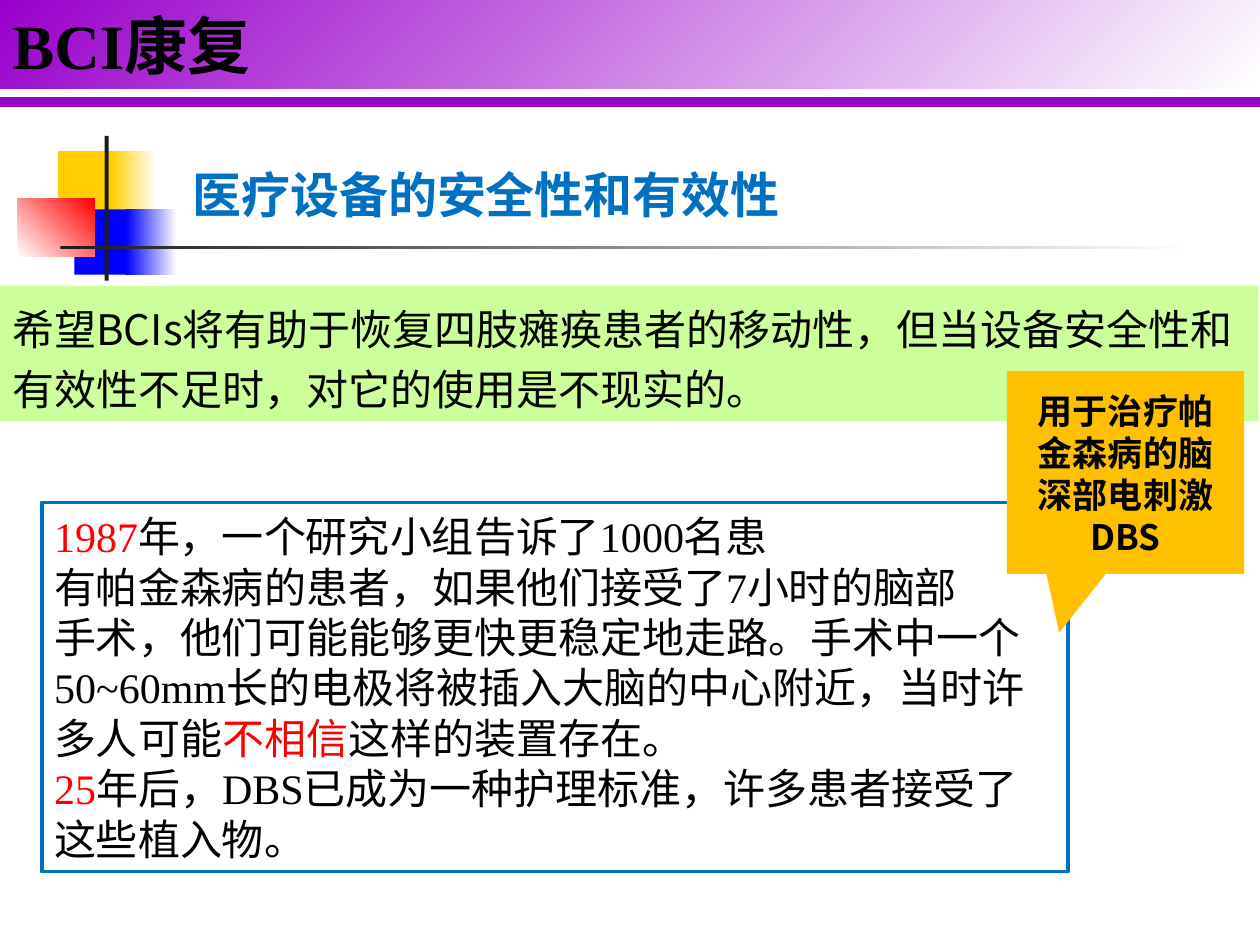
from dataclasses import dataclass
from typing import Optional

from lxml.etree import SubElement
from pptx import Presentation
from pptx.dml.color import RGBColor
from pptx.enum.shapes import MSO_CONNECTOR, MSO_SHAPE as Geo
from pptx.enum.text import MSO_ANCHOR, PP_ALIGN as Align
from pptx.oxml.ns import qn
from pptx.util import Cm, Pt

BLACK = RGBColor(0x00, 0x00, 0x00)
WHITE = RGBColor(0xFF, 0xFF, 0xFF)
CHARCOAL = RGBColor(0x1C, 0x1C, 0x1C)
YELLOW = RGBColor(0xFF, 0xCF, 0x01)
BLUE = RGBColor(0x00, 0x00, 0xFF)
RED = RGBColor(0xFF, 0x00, 0x00)
PURPLE = RGBColor(0x99, 0x00, 0xCC)
AZURE = RGBColor(0x00, 0x70, 0xC0)
LIME = RGBColor(0xCC, 0xFF, 0x99)
AMBER = RGBColor(0xFF, 0xC0, 0x00)
SERIF = "Times New Roman"
SANS = "Noto Sans CJK SC"


@dataclass
class Box:
    left: float
    top: float
    width: float
    height: float
    fill: Optional[RGBColor] = None
    fade_to: Optional[RGBColor] = None
    angle: int = 0
    line: Optional[RGBColor] = None
    geo: Geo = Geo.RECTANGLE


@dataclass
class Style:
    size: int
    font: str
    color: RGBColor = BLACK
    bold: bool = False
    align: Align = Align.LEFT
    spacing: float = 1.0


@dataclass
class Span:
    text: str
    color: Optional[RGBColor] = None


ORNAMENT = [
    Box(1.17, 3.05, 1.22, 1.32, YELLOW),
    Box(2.24, 3.05, 0.91, 1.32, YELLOW, WHITE),
    Box(1.5, 4.22, 1.17, 1.32, BLUE),
    Box(2.54, 4.22, 1.02, 1.32, BLUE, WHITE),
    Box(0.36, 4.01, 1.55, 1.17, WHITE, RED, 45),
    Box(2.11, 2.74, 0.08, 2.92, CHARCOAL),
    Box(1.22, 4.95, 22.86, 0.08, CHARCOAL, WHITE),
]
BANNER = Box(0, 0, 25.4, 1.78, PURPLE, WHITE, 315)
HEADING = Box(3.63, 3.18, 19.66, 1.45)
SUMMARY = Box(0, 5.77, 25.37, 2.72, LIME)
STORY = Box(0.84, 10.13, 20.7, 7.44, line=AZURE)
CALLOUT = Box(20.3, 7.48, 4.78, 4.09, AMBER, geo=Geo.RECTANGULAR_CALLOUT)
CALLOUT_TEXT = Box(20.52, 7.7, 4.34, 3.68, AMBER)

SUMMARY_TEXT = "希望BCIs将有助于恢复四肢瘫痪患者的移动性，但当设备安全性和有效性不足时，对它的使用是不现实的。"
STORY_TEXT = [
    [Span("1987", RED), Span("年，一个研究小组告诉了1000名患")],
    [Span("有帕金森病的患者，如果他们接受了7小时的脑部")],
    [
        Span("手术，他们可能能够更快更稳定地走路。手术中一个50~60mm长的电极将被插入大脑的中心附近，当时许多人可能"),
        Span("不相信", RED),
        Span("这样的装置存在。"),
    ],
    [Span("25", RED), Span("年后，DBS已成为一种护理标准，许多患者接受了这些植入物。")],
]


def draw_box(shapes, box: Box):
    """Draw a preset shape with a solid, fading or empty fill."""
    sp = shapes.add_shape(box.geo, Cm(box.left), Cm(box.top), Cm(box.width), Cm(box.height))
    sp.shadow.inherit = False
    if box.fade_to is not None:
        sp.fill.gradient()
        sp.fill.gradient_angle = box.angle
        for stop, color in zip(sp.fill.gradient_stops, (box.fill, box.fade_to)):
            stop.color.rgb = color
    elif box.fill is not None:
        sp.fill.solid()
        sp.fill.fore_color.rgb = box.fill
    else:
        sp.fill.background()
    if box.line is not None:
        sp.line.color.rgb = box.line
        sp.line.width = Pt(2.25)
    else:
        sp.line.fill.background()
    return sp


def write_text(sp, paragraphs: list[list[Span]], style: Style) -> None:
    """Fill a shape with paragraphs of coloured spans."""
    tf = sp.text_frame
    tf.word_wrap = True
    tf.vertical_anchor = MSO_ANCHOR.MIDDLE
    for i, spans in enumerate(paragraphs):
        p = tf.add_paragraph() if i else tf.paragraphs[0]
        p.alignment = style.align
        p.line_spacing = style.spacing
        for span in spans:
            r = p.add_run()
            r.text = span.text
            r.font.size = Pt(style.size)
            r.font.bold = style.bold
            r.font.color.rgb = span.color or style.color
            r.font.name = style.font
            SubElement(r.font._element, qn("a:ea")).set("typeface", SANS)


def draw_rule(shapes, top: float, color: RGBColor, width: float) -> None:
    """Draw a horizontal line across the slide."""
    rule = shapes.add_connector(MSO_CONNECTOR.STRAIGHT, Cm(0), Cm(top), Cm(25.4), Cm(top))
    rule.line.color.rgb = color
    rule.line.width = Pt(width)
    SubElement(rule._element.spPr, qn("a:effectLst"))


def main() -> None:
    """Build the slide and save it."""
    prs = Presentation()
    prs.slide_width, prs.slide_height = Cm(25.4), Cm(19.05)
    shapes = prs.slides.add_slide(prs.slide_layouts[6]).shapes

    for box in ORNAMENT:
        draw_box(shapes, box)
    write_text(draw_box(shapes, BANNER), [[Span("BCI康复")]], Style(36, SERIF, bold=True))
    draw_rule(shapes, 2.06, PURPLE, 6)

    s = HEADING
    heading = shapes.add_textbox(Cm(s.left), Cm(s.top), Cm(s.width), Cm(s.height))
    write_text(heading, [[Span("医疗设备的安全性和有效性")]], Style(28, SERIF, AZURE, True))

    write_text(draw_box(shapes, SUMMARY), [[Span(SUMMARY_TEXT)]], Style(24, SANS, spacing=1.2))
    write_text(draw_box(shapes, STORY), STORY_TEXT, Style(24, SERIF))

    callout = draw_box(shapes, CALLOUT)
    callout.adjustments[0], callout.adjustments[1] = -0.28, 0.79
    write_text(
        draw_box(shapes, CALLOUT_TEXT),
        [[Span("用于治疗帕金森病的脑深部电刺激")], [Span("DBS")]],
        Style(20, SANS, bold=True, align=Align.CENTER),
    )
    prs.save("out.pptx")


if __name__ == "__main__":
    main()
